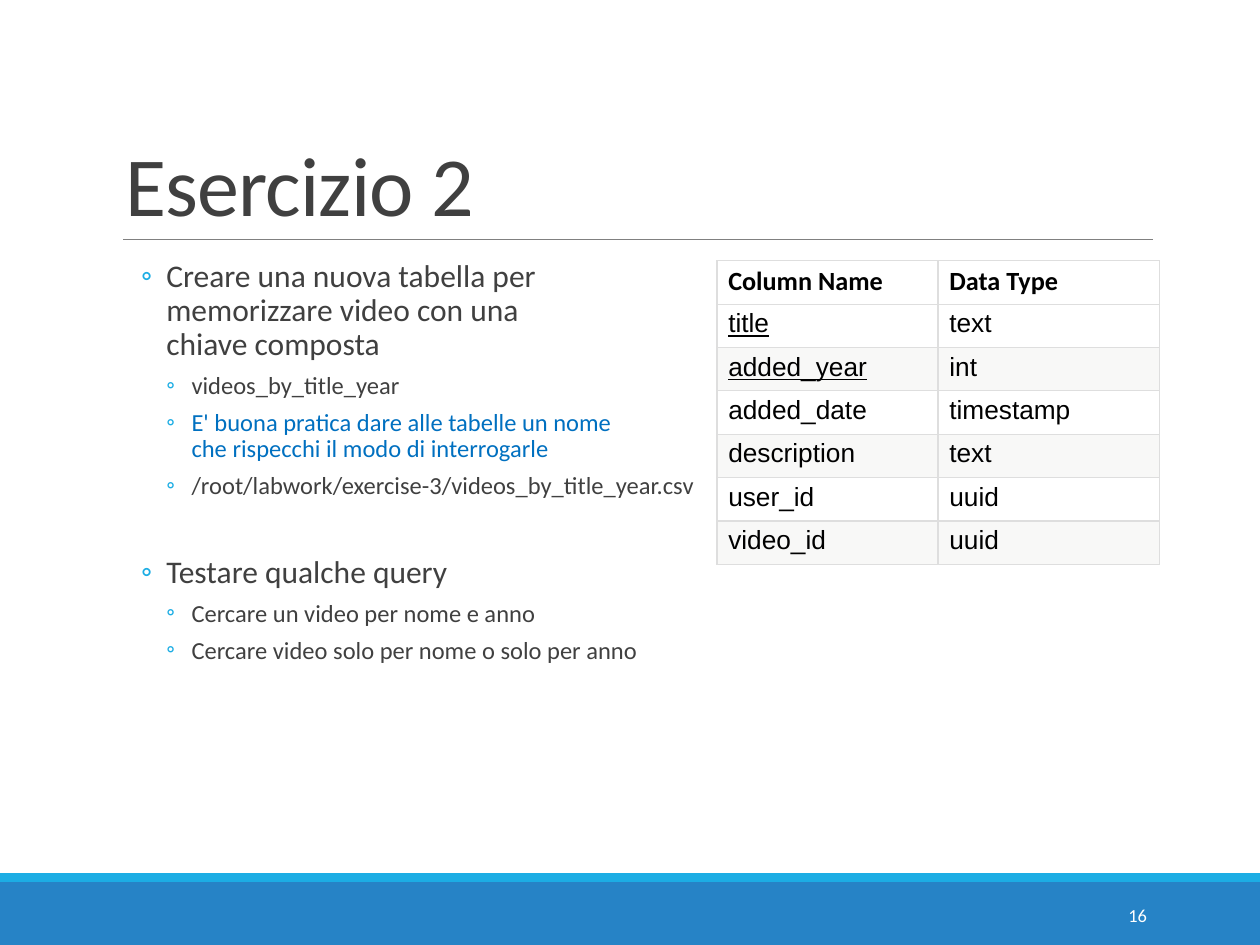
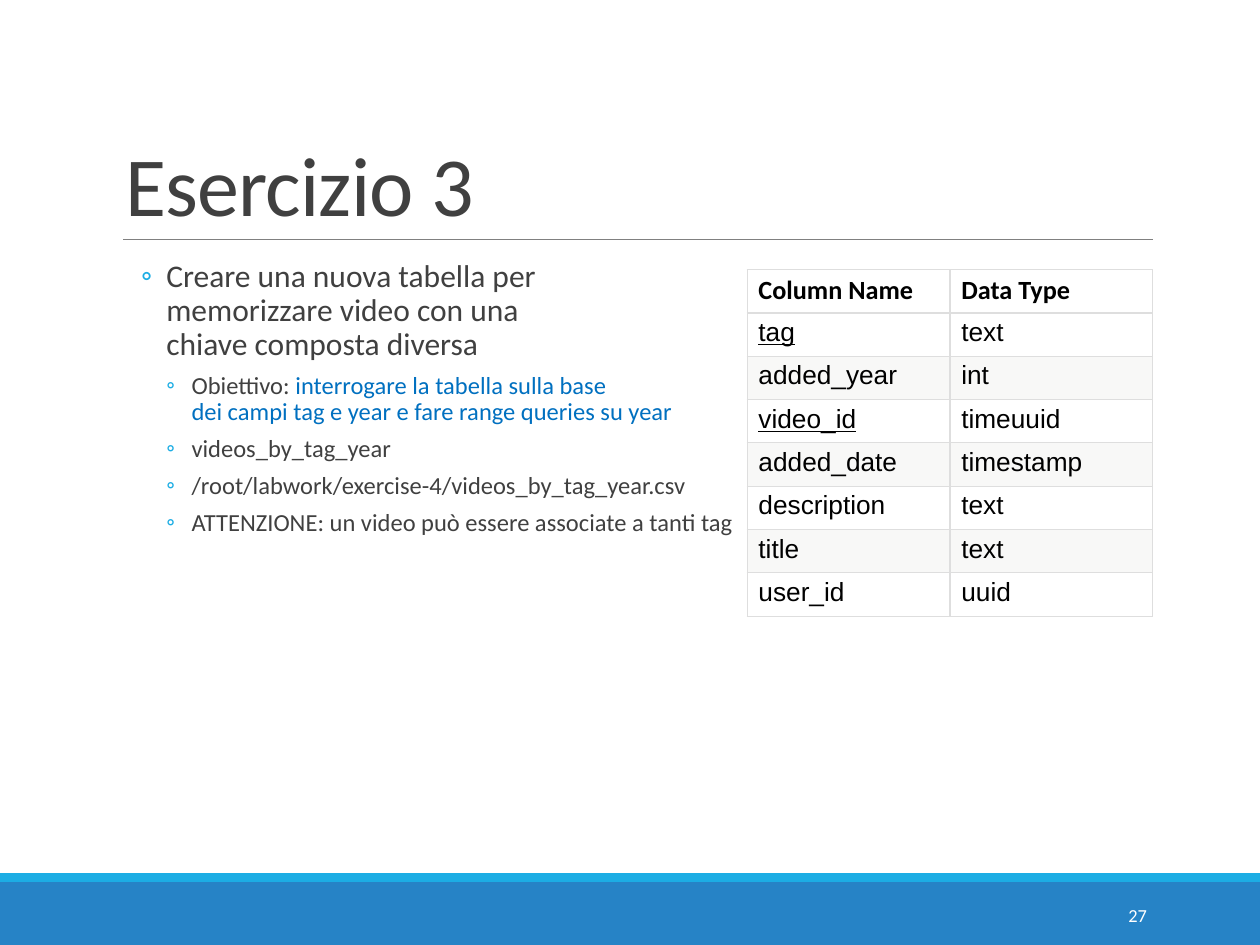
"""Build two exercise slides, each with a bulleted brief and a table schema."""
from dataclasses import dataclass

from lxml.etree import SubElement
from pptx import Presentation
from pptx.dml.color import RGBColor
from pptx.enum.shapes import MSO_CONNECTOR as Connector, MSO_SHAPE as Shape
from pptx.enum.text import MSO_ANCHOR as Anchor, PP_ALIGN as Align
from pptx.oxml.ns import qn
from pptx.util import Inches, Pt


@dataclass(frozen=True)
class Theme:
    text: str = "404040"
    accent: str = "0070C0"
    bullet: str = "1CADE4"
    band: str = "2683C6"
    rule: str = "808080"
    border: str = "DEDEDE"
    white: str = "FFFFFF"
    black: str = "000000"
    stripe: str = "F8F8F7"
    font: str = "Calibri"
    cell_font: str = "Arial"
    title_size: float = 48
    level_sizes: tuple = (18, 14)
    cell_size: float = 15
    number_size: float = 10.5


THEME = Theme()
HEADER = ("Column Name", "Data Type")
SECTION_GAP = 28
EXERCISES = [
    {
        "title": "Esercizio 2",
        "number": "16",
        "brief": [
            (0, [("Creare una nuova tabella per \nmemorizzare video con una \nchiave composta", THEME.text)]),
            (1, [("videos_by_title_year", THEME.text)]),
            (1, [("E' buona pratica dare alle tabelle un nome \nche rispecchi il modo di interrogarle", THEME.accent)]),
            (1, [("/root/labwork/exercise-3/videos_by_title_year.csv", THEME.text)]),
            (0, [("Testare qualche query", THEME.text)]),
            (1, [("Cercare un video per nome e anno", THEME.text)]),
            (1, [("Cercare video solo per nome o solo per anno", THEME.text)]),
        ],
        "columns": [
            ("title", "text"), ("added_year", "int"), ("added_date", "timestamp"),
            ("description", "text"), ("user_id", "uuid"), ("video_id", "uuid"),
        ],
        "keys": {"title", "added_year"},
        "table_box": (5.69, 2.07, 3.51, 2.41),
    },
    {
        "title": "Esercizio 3",
        "number": "27",
        "brief": [
            (0, [("Creare una nuova tabella per \nmemorizzare video con una \nchiave composta diversa", THEME.text)]),
            (1, [("Obiettivo: ", THEME.text),
                 ("interrogare la tabella sulla base\ndei campi tag e year e fare range queries su year", THEME.accent)]),
            (1, [("videos_by_tag_year", THEME.text)]),
            (1, [("/root/labwork/exercise-4/videos_by_tag_year.csv", THEME.text)]),
            (1, [("ATTENZIONE: un video può essere associate a tanti tag", THEME.text)]),
        ],
        "columns": [
            ("tag", "text"), ("added_year", "int"), ("video_id", "timeuuid"),
            ("added_date", "timestamp"), ("description", "text"), ("title", "text"),
            ("user_id", "uuid"),
        ],
        "keys": {"tag", "video_id"},
        "table_box": (5.93, 2.14, 3.22, 2.75),
    },
]


def set_format(target, values):
    for name, value in values.items():
        setattr(target, name, value)


def paint(fill, color):
    fill.solid()
    fill.fore_color.rgb = RGBColor.from_string(color)


def add_text(paragraph, text, color, size, font=THEME.font, **extra):
    for index, line in enumerate(text.split("\n")):
        if index:
            paragraph.add_line_break()
        run = paragraph.add_run()
        run.text = line
        set_format(run.font, {"name": font, "size": Pt(size), **extra})
        run.font.color.rgb = RGBColor.from_string(color)


def add_text_frame(slide, box, **frame_format):
    frame = slide.shapes.add_textbox(*map(Inches, box)).text_frame
    set_format(frame, {"word_wrap": True, **frame_format})
    return frame


def add_backdrop(slide):
    for top, height, color in ((7, 0.5, THEME.band), (6.93, 0.07, THEME.bullet)):
        band = slide.shapes.add_shape(Shape.RECTANGLE, *map(Inches, (0, top, 10, height)))
        band.shadow.inherit = False
        paint(band.fill, color)
        band.line.fill.background()
    rule = slide.shapes.add_connector(Connector.STRAIGHT, *map(Inches, (0.98, 1.9, 9.15, 1.9)))
    rule.line.width = Pt(0.5)
    paint(rule.line.fill, THEME.rule)
    SubElement(rule._element.spPr, qn("a:effectLst"))


def add_title(slide, title):
    frame = add_text_frame(slide, (0.9, 0.31, 8.25, 1.59), vertical_anchor=Anchor.BOTTOM)
    paragraph = frame.paragraphs[0]
    paragraph.line_spacing = 0.85
    add_text(paragraph, title, THEME.text, THEME.title_size)
    paragraph.runs[0].font._element.set("spc", "-50")


def add_bullet(paragraph, level):
    properties = paragraph._p.get_or_add_pPr()
    properties.set("marL", str(Inches(0.42 + 0.2 * level)))
    properties.set("indent", str(Inches(-0.2)))
    color = SubElement(properties, qn("a:buClr"))
    SubElement(color, qn("a:srgbClr"), val=THEME.bullet)
    SubElement(properties, qn("a:buFont"), typeface=THEME.font)
    SubElement(properties, qn("a:buChar"), char="◦")


def add_brief(slide, brief):
    frame = add_text_frame(slide, (0.9, 2.02, 8.25, 4.4), margin_left=0, margin_right=0)
    for index, (level, parts) in enumerate(brief):
        paragraph = frame.add_paragraph() if index else frame.paragraphs[0]
        starts_section = index > 0 and level == 0
        set_format(paragraph, {
            "level": level,
            "line_spacing": 0.9,
            "space_before": Pt(SECTION_GAP if starts_section else 2),
            "space_after": Pt(4),
        })
        add_bullet(paragraph, level)
        for text, color in parts:
            add_text(paragraph, text, color, THEME.level_sizes[level])


def add_number(slide, number):
    frame = add_text_frame(slide, (8.12, 7.06, 1.08, 0.4), vertical_anchor=Anchor.MIDDLE)
    frame.paragraphs[0].alignment = Align.RIGHT
    add_text(frame.paragraphs[0], number, THEME.white, THEME.number_size)


def add_borders(cell):
    properties = cell._tc.get_or_add_tcPr()
    for side in ("lnL", "lnR", "lnT", "lnB"):
        line = SubElement(properties, qn(f"a:{side}"), w=str(Pt(0.75)))
        fill = SubElement(line, qn("a:solidFill"))
        SubElement(fill, qn("a:srgbClr"), val=THEME.border)


def add_schema(slide, columns, keys, box):
    rows = [HEADER, *columns]
    table = slide.shapes.add_table(len(rows), len(HEADER), *map(Inches, box)).table
    for row_index, row in enumerate(rows):
        is_header = row_index == 0
        is_striped = row_index > 0 and row_index % 2 == 0
        for column_index, text in enumerate(row):
            cell = table.cell(row_index, column_index)
            set_format(cell, {
                "margin_left": Inches(0.09), "margin_right": Inches(0.09),
                "margin_top": Inches(0.04), "margin_bottom": Inches(0.04),
            })
            add_borders(cell)
            paint(cell.fill, THEME.stripe if is_striped else THEME.white)
            add_text(
                cell.text_frame.paragraphs[0], text, THEME.black, THEME.cell_size,
                THEME.font if is_header else THEME.cell_font,
                bold=is_header, underline=column_index == 0 and text in keys,
            )


def main():
    presentation = Presentation()
    set_format(presentation, {"slide_width": Inches(10), "slide_height": Inches(7.5)})
    for exercise in EXERCISES:
        slide = presentation.slides.add_slide(presentation.slide_layouts[6])
        add_backdrop(slide)
        add_title(slide, exercise["title"])
        add_brief(slide, exercise["brief"])
        add_number(slide, exercise["number"])
        add_schema(slide, exercise["columns"], exercise["keys"], exercise["table_box"])
    presentation.save("out.pptx")


if __name__ == "__main__":
    main()
